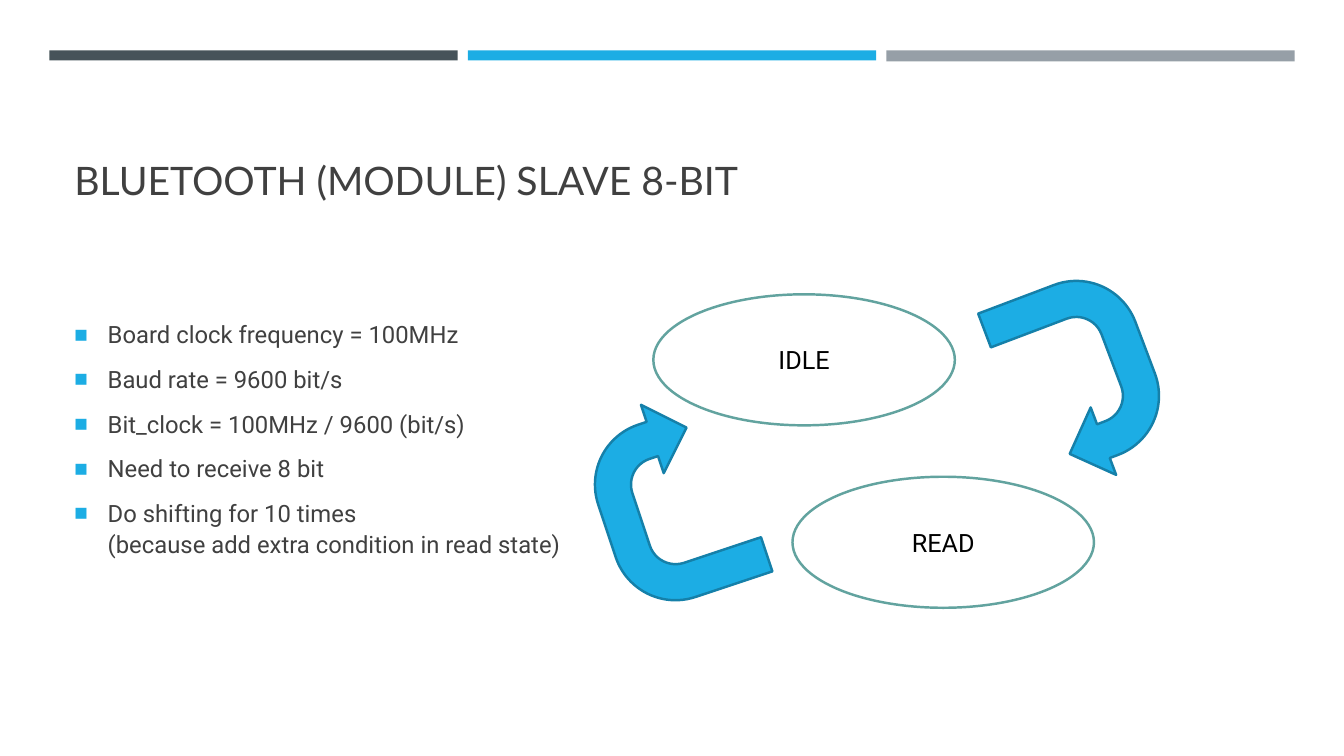
from lxml import etree
from pptx import Presentation
from pptx.dml.color import RGBColor
from pptx.enum.shapes import MSO_SHAPE
from pptx.enum.text import MSO_ANCHOR, PP_ALIGN
from pptx.oxml.ns import qn
from pptx.util import Inches, Pt

RECTANGLE, ELLIPSE, U_TURN = MSO_SHAPE.RECTANGLE, MSO_SHAPE.OVAL, MSO_SHAPE.U_TURN_ARROW
BOTTOM, MIDDLE = MSO_ANCHOR.BOTTOM, MSO_ANCHOR.MIDDLE
LEFT, CENTER = PP_ALIGN.LEFT, PP_ALIGN.CENTER

TITLE = "BLUETOOTH (MODULE) SLAVE 8-BIT"
FACTS = [
    "Board clock frequency = 100MHz",
    "Baud rate = 9600 bit/s",
    "Bit_clock = 100MHz / 9600 (bit/s)",
    "Need to receive 8 bit",
    "Do shifting for 10 times\v(because add extra condition in read state)",
]
STATES = [("IDLE", 6.48, 2.92), ("READ", 7.86, 4.73)]
TRANSITIONS = [(9.73, 3.07, 69.3), (5.68, 4.24, 251.6)]  # left, top, rotation

BLUE, INK = "1CADE4", "404040"
BARS = [("465359", 0.1), (BLUE, 0.1), ("969FA7", 0.11)]  # colour, height
BAR_LEFT, BAR_TOP, BAR_WIDTH, BAR_GAP = 0.49, 0.5, 4.05, 0.1
TEXT_LEFT, TEXT_WIDTH = 0.64, 12.06
TITLE_FONT = {"name": "Lato", "size": Pt(28)}
FACT_FONT = {"name": "Roboto", "size": Pt(17)}
STATE_FONT = {"name": "Roboto", "size": Pt(18)}
FACT_SPACING = {"line_spacing": 1.1, "space_before": Pt(3.4), "space_after": Pt(6)}
INDENT = Inches(0.33)


def rgb(color):
    return RGBColor.from_string(color)


def apply(target, values):
    for name, value in values.items():
        setattr(target, name, value)


def add_figure(page, kind, place, fill, line=None):
    figure = page.shapes.add_shape(kind, *map(Inches, place))
    figure.shadow.inherit = False
    figure.fill.solid()
    figure.fill.fore_color.rgb = rgb(fill)
    if line:
        figure.line.color.rgb = rgb(line)
        figure.line.width = Pt(1.75)
    else:
        figure.line.fill.background()
    return figure


def write(box, lines, font, color, anchor, align):
    frame = box.text_frame
    apply(frame, {"word_wrap": True, "vertical_anchor": anchor})
    for index, line in enumerate(lines):
        para = frame.paragraphs[0] if index == 0 else frame.add_paragraph()
        para.text = line
        para.alignment = align
        for span in para.runs:
            apply(span.font, font)
            span.font.color.rgb = rgb(color)
    return frame.paragraphs


def add_bullet(para):
    props = para._p.get_or_add_pPr()
    props.set("marL", str(INDENT))
    props.set("indent", str(-INDENT))
    color = etree.SubElement(props, qn("a:buClr"))
    etree.SubElement(color, qn("a:srgbClr"), val=BLUE)
    etree.SubElement(props, qn("a:buSzPct"), val="60000")
    etree.SubElement(props, qn("a:buFont"), typeface="Roboto")
    etree.SubElement(props, qn("a:buChar"), char="■")


def add_text(page, top, height):
    return page.shapes.add_textbox(*map(Inches, (TEXT_LEFT, top, TEXT_WIDTH, height)))


def main():
    deck = Presentation()
    deck.slide_width, deck.slide_height = Inches(13.33), Inches(7.5)
    page = deck.slides.add_slide(deck.slide_layouts[6])

    for column, (color, height) in enumerate(BARS):
        left = BAR_LEFT + column * (BAR_WIDTH + BAR_GAP)
        add_figure(page, RECTANGLE, (left, BAR_TOP, BAR_WIDTH, height), color)

    write(add_text(page, 0.77, 1.3), [TITLE], TITLE_FONT, INK, BOTTOM, LEFT)
    for para in write(add_text(page, 2.58, 3.53), FACTS, FACT_FONT, INK, MIDDLE, LEFT):
        apply(para, FACT_SPACING)
        add_bullet(para)

    for name, left, top in STATES:
        state = add_figure(page, ELLIPSE, (left, top, 2.99, 1.3), "FFFFFF", "62A39F")
        write(state, [name], STATE_FONT, "000000", MIDDLE, CENTER)
    for left, top, rotation in TRANSITIONS:
        arrow = add_figure(page, U_TURN, (left, top, 1.98, 1.43), BLUE, "1580A9")
        arrow.rotation = rotation

    deck.save("out.pptx")


if __name__ == "__main__":
    main()
